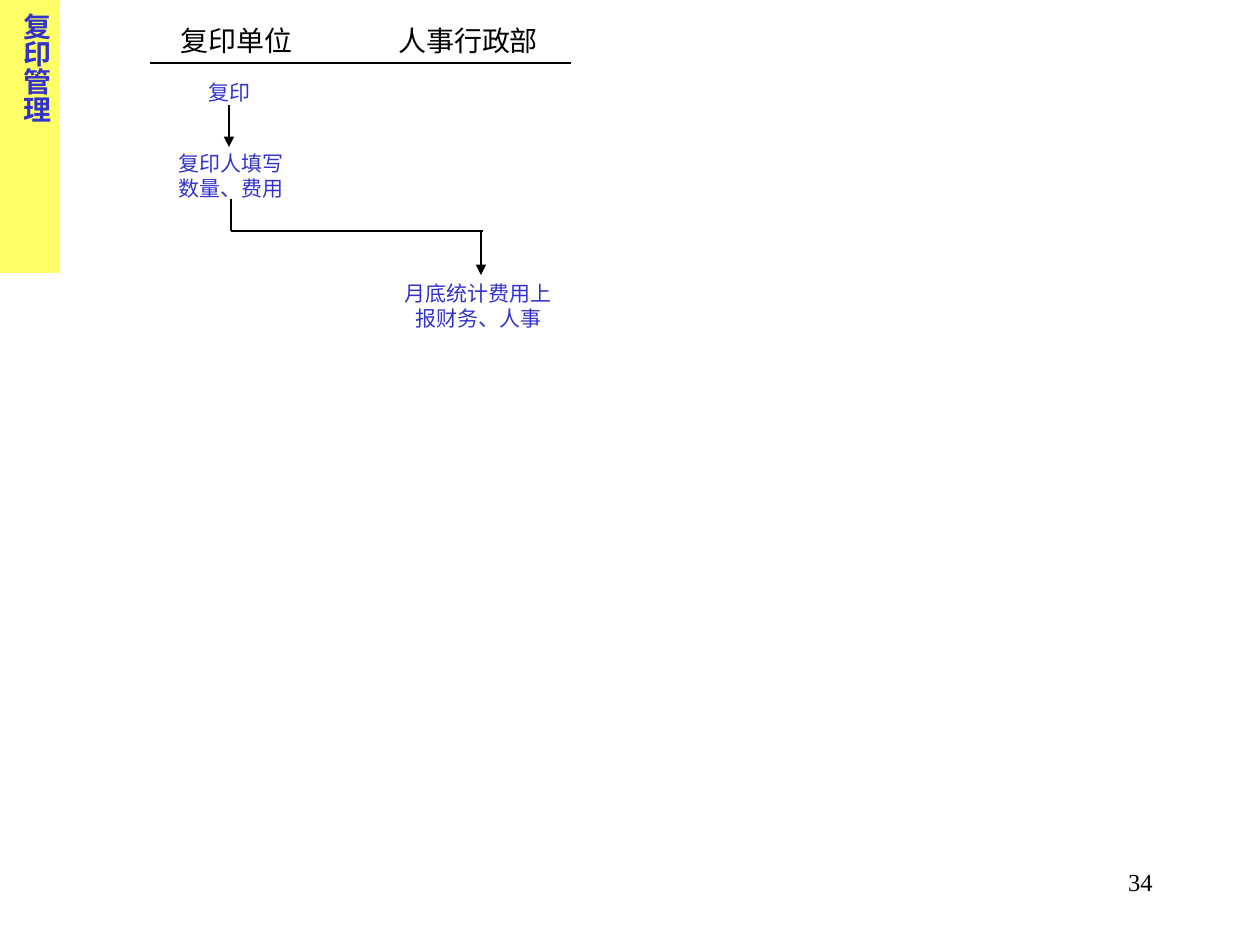
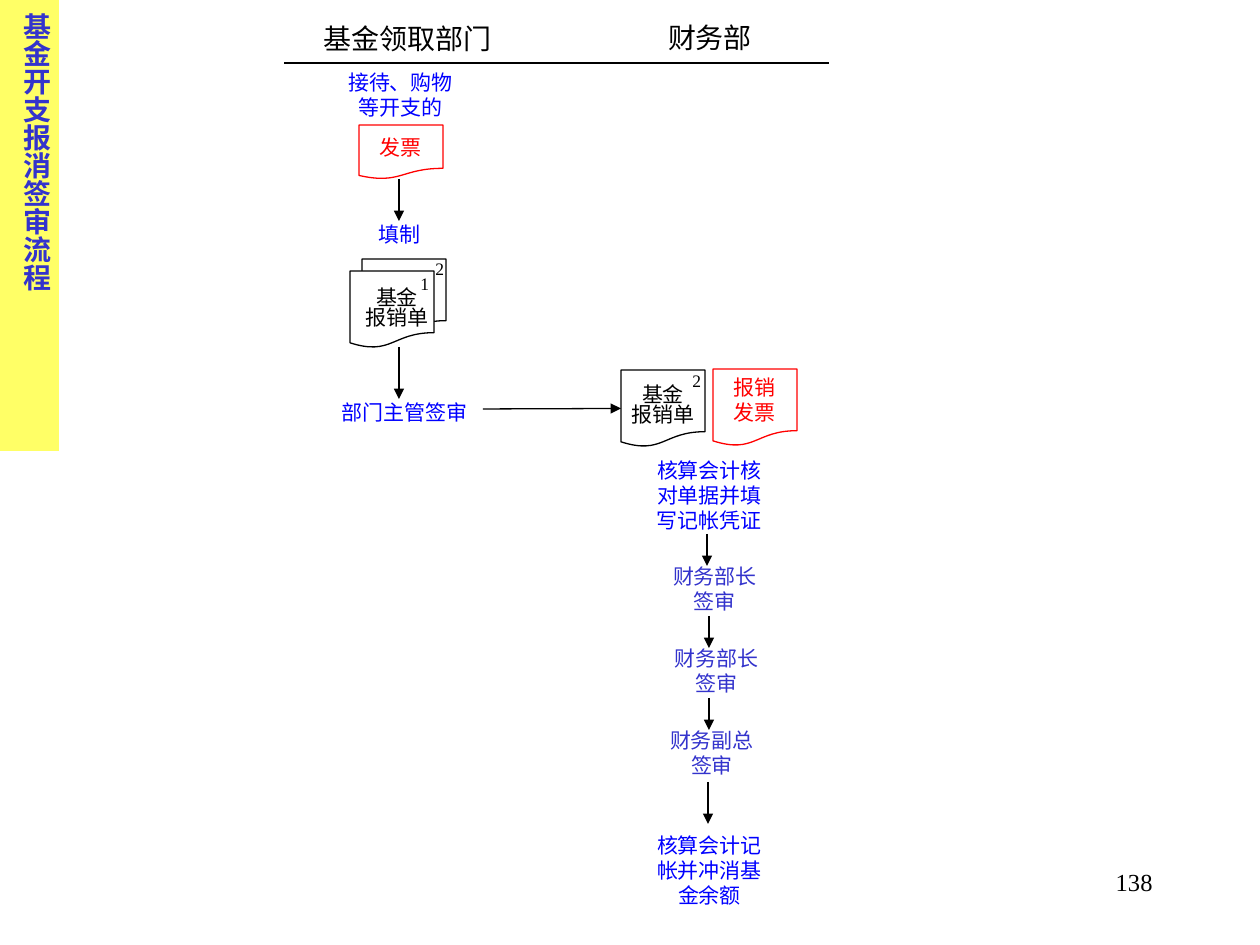
"""Build two procedure flow slides: copying and fund expense approval."""
from pptx import Presentation
from pptx.dml.color import RGBColor
from pptx.enum.shapes import MSO_CONNECTOR, MSO_SHAPE
from pptx.enum.text import MSO_ANCHOR, PP_ALIGN
from pptx.oxml.ns import qn
from pptx.util import Emu, Pt
from lxml.etree import SubElement

EMU_PER_PX = 914400 / 126
C, L, R, J = PP_ALIGN.CENTER, PP_ALIGN.LEFT, PP_ALIGN.RIGHT, PP_ALIGN.JUSTIFY

THEME = {
    "font": "Times New Roman",
    "line_width": 0.75,
    "colors": {"band": "FFFF66", "indigo": "3333CC", "blue": "0000FF",
               "red": "FF0000", "black": "000000", "paper": "FFFFFF"},
    "styles": {
        "band": (16, "indigo", J, 1),
        "head": (16, "black", C, 1),
        "head_row": (16, "black", L, 0.8),
        "step": (12, "blue", C, 1),
        "review": (12, "indigo", C, 1),
        "form": (12, "black", C, 0.8),
        "copy": (10, "black", C, 1),
        "receipt": (12, "red", C, 1),
        "page": (14, "black", R, 1),
    },
}

BAND_WIDTH = 59
PAGE_BOX = (903, 861, 262, 63)
FORM_SIZE = (84, 77)
FORM_TEXT = "基金\v报销单"
REVIEW_TOP, REVIEW_STEP = 557, 82
REVIEWS = [("财务部长签审", 656, 707), ("财务部长签审", 658, 709),
           ("财务副总签审", 653, 709)]

COPYING = {
    "title": "复印管理", "band_height": 273, "page": "34",
    "documents": [],
    "texts": [
        ("复印单位\t人事行政部", "head_row", (168, 24, 403, 39)),
        ("复印", "review", (179, 73, 102, 38)),
        ("复印人填写数量、费用", "review", (157, 144, 149, 63)),
        ("月底统计费用上报财务、人事", "review", (391, 274, 175, 63)),
    ],
    "lines": [(150, 63, 571, 63), (231, 199, 231, 231), (231, 231, 483, 231)],
    "arrows": [(229, 105, 229, 147), (481, 231, 481, 275)],
}

FUND = {
    "title": "基金开支报消签审流程", "band_height": 451, "page": "138",
    "documents": [
        ("", "form", (362, 259, *FORM_SIZE)),
        ("", "form", (350, 271, *FORM_SIZE)),
        ("", "form", (621, 370, *FORM_SIZE)),
        ("发票", "receipt", (359, 125, 84, 54)),
        ("报销\n发票", "receipt", (713, 369, *FORM_SIZE)),
    ],
    "texts": [
        ("基金领取部门", "head", (297, 15, 221, 47)),
        ("财务部", "head", (651, 14, 118, 47)),
        ("接待、购物等开支的", "step", (327, 63, 147, 63)),
        ("填制", "step", (316, 215, 168, 38)),
        (FORM_TEXT, "form", (350, 283, 94, 53)),
        ("1", "copy", (408, 267, 32, 34)),
        ("2", "copy", (423, 252, 32, 34)),
        ("部门主管签审", "step", (318, 393, 174, 38)),
        (FORM_TEXT, "form", (616, 380, 94, 53)),
        ("2", "copy", (680, 364, 32, 34)),
        ("核算会计核对单据并填写记帐凭证", "step", (637, 451, 145, 88)),
        *[(text, "review", (x, REVIEW_TOP + REVIEW_STEP * i, 118, 63))
          for i, (text, x, _) in enumerate(REVIEWS)],
        ("核算会计记帐并冲消基金余额", "step", (637, 826, 145, 88)),
    ],
    "lines": [(829, 63, 284, 63)],
    "arrows": [
        (399, 179, 399, 221), (399, 347, 399, 399),
        *[(x, 534 + REVIEW_STEP * i, x, 566 + REVIEW_STEP * i)
          for i, (_, _, x) in enumerate(REVIEWS)],
        (708, 782, 708, 824),
    ],
    "handover": (483, 409, 2),
}


def px(*values):
    return [Emu(round(v * EMU_PER_PX)) for v in values]


def color(name):
    return RGBColor.from_string(THEME["colors"][name])


def write(sp, text, style):
    size, ink, align, spacing = THEME["styles"][style]
    tf = sp.text_frame
    tf.text = text
    for p in tf.paragraphs:
        p.alignment = align
        p.line_spacing = spacing
        if "\t" in text:
            tabs = SubElement(p._p.get_or_add_pPr(), qn("a:tabLst"))
            SubElement(tabs, qn("a:tab"), pos=str(px(218)[0]), algn="l")
        for r in p.runs:
            r.font.name = THEME["font"]
            r.font.size = Pt(size)
            r.font.bold = style == "band"
            r.font.color.rgb = color(ink)
    return tf


def add_text(s, text, style, box):
    sp = s.shapes.add_textbox(*px(*box))
    write(sp, text, style).word_wrap = True


def add_shape(s, kind, box, fill, outline=None):
    sp = s.shapes.add_shape(kind, *px(*box))
    sp.shadow.inherit = False
    sp.fill.solid()
    sp.fill.fore_color.rgb = color(fill)
    if outline:
        sp.line.color.rgb = color(outline)
        sp.line.width = Pt(THEME["line_width"])
    else:
        sp.line.fill.background()
    return sp


def add_document(s, text, style, box):
    sp = add_shape(s, MSO_SHAPE.FLOWCHART_DOCUMENT, box, "paper", THEME["styles"][style][1])
    if text:
        tf = write(sp, text, style)
        tf.word_wrap = False
        tf.vertical_anchor = MSO_ANCHOR.MIDDLE
    return sp


def add_line(s, points, arrow=False):
    cx = s.shapes.add_connector(MSO_CONNECTOR.STRAIGHT, *px(*points))
    cx.line.color.rgb = color("black")
    cx.line.width = Pt(THEME["line_width"])
    if arrow:
        SubElement(cx.line._get_or_add_ln(), qn("a:tailEnd"), type="triangle")
    SubElement(cx.element.spPr, qn("a:effectLst"))
    return cx


def add_frame(s, flow):
    sp = add_shape(s, MSO_SHAPE.RECTANGLE, (0, 0, BAND_WIDTH, flow["band_height"]), "band")
    tf = write(sp, flow["title"], "band")
    tf.vertical_anchor = MSO_ANCHOR.TOP
    sp.element.find(".//" + qn("a:bodyPr")).set("vert", "eaVert")
    add_text(s, flow["page"], "page", PAGE_BOX)


def build(prs, flow):
    s = prs.slides.add_slide(prs.slide_layouts[6])
    add_frame(s, flow)
    documents = [add_document(s, *item) for item in flow["documents"]]
    for item in flow["texts"]:
        add_text(s, *item)
    for points in flow["lines"]:
        add_line(s, points)
    for points in flow["arrows"]:
        add_line(s, points, arrow=True)
    if "handover" in flow:
        x, y, target = flow["handover"]
        add_line(s, (x, y, x, y), arrow=True).end_connect(documents[target], 1)


def main():
    prs = Presentation()
    prs.slide_width, prs.slide_height = px(1260, 945)
    for flow in (COPYING, FUND):
        build(prs, flow)
    prs.save("out.pptx")


if __name__ == "__main__":
    main()
